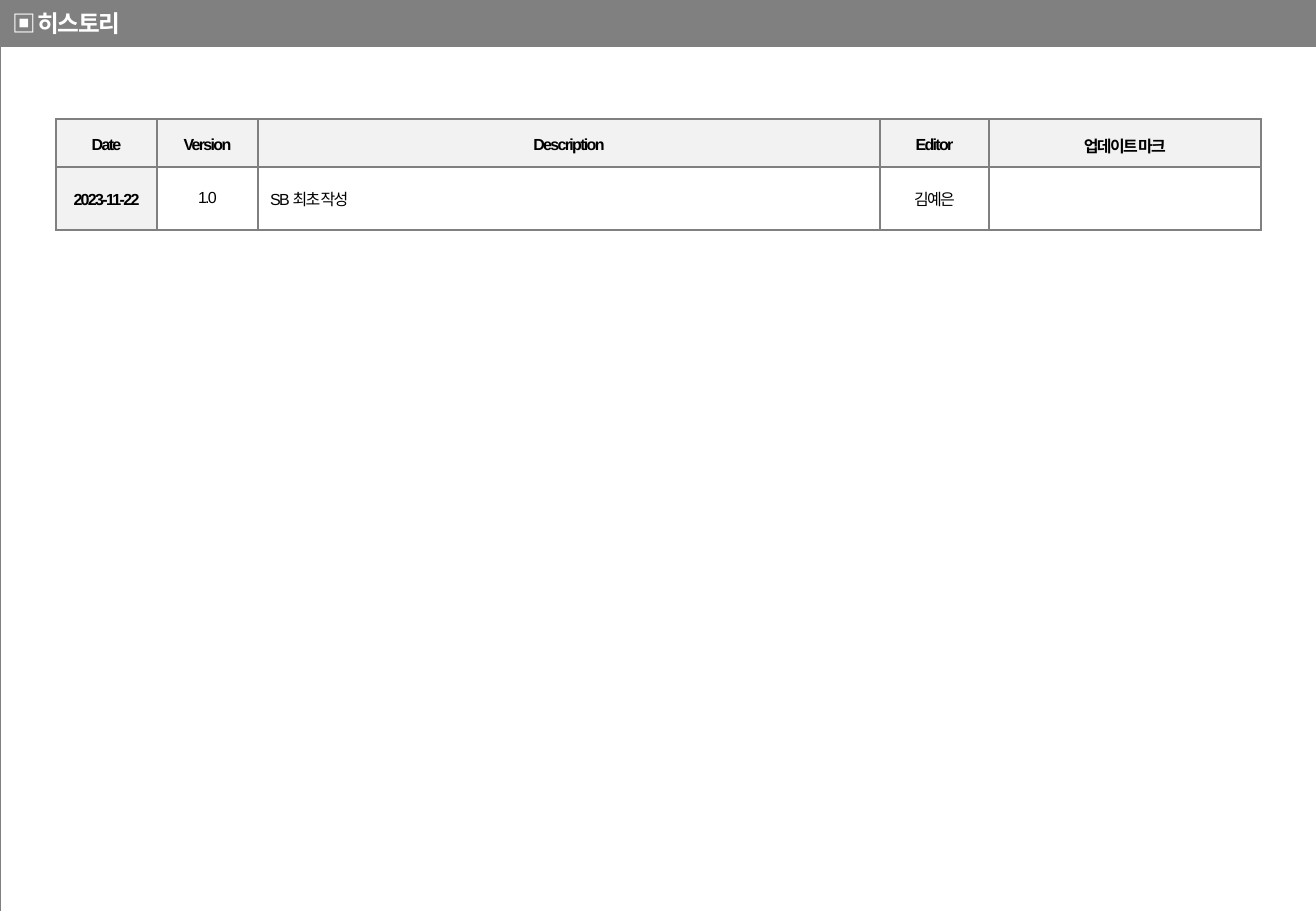
"""Build the revision history slide."""
import pptx
import pptx.util
import pptx.dml.color
import pptx.enum.text
import pptx.oxml.ns
import lxml.etree

TITLE = "▣ 히스토리"
ROWS = [
    ["Date", "Version", "Description", "Editor", "업데이트 마크"],
    ["2023-11-22", "1.0", "SB 최초 작성", "김예은", ""],
]
COLS = [101, 101, 622, 109, 272]
HIGHS = [48, 63]
WIDE, TALL, BAR = 1316, 911, 47
LEFT, TOP = 56, 119
PAD = 10
HUES = {"gray": "808080", "pale": "F2F2F2", "white": "FFFFFF", "black": "000000"}
LATIN, KOREAN = "Arial", "Noto Sans CJK KR"
ALIGN = pptx.enum.text.PP_ALIGN
MIDDLE = pptx.enum.text.MSO_ANCHOR.MIDDLE


def px(num):
    return pptx.util.Emu(num * 7526)


def hue(name):
    return pptx.dml.color.RGBColor.from_string(HUES[name])


def node(root, tag, **attrs):
    return lxml.etree.SubElement(root, pptx.oxml.ns.qn(tag), **attrs)


def write(para, text, size, face, color, bold):
    run = para.add_run()
    run.text = text
    font = run.font
    font.size = pptx.util.Pt(size)
    font.bold = bold
    font.name = face
    font.color.rgb = hue(color)
    props = run._r.get_or_add_rPr()
    props.set("spc", "-100")
    node(props, "a:ea", typeface=KOREAN)


def border(cell, points):
    props = cell._tc.get_or_add_tcPr()
    for spot, side in enumerate(("a:lnL", "a:lnR", "a:lnT", "a:lnB")):
        line = node(props, side, w=str(pptx.util.Pt(points)))
        fill = node(line, "a:solidFill")
        node(fill, "a:srgbClr", val=HUES["gray"])
        props.insert(spot, line)


def grid(slide, left, top, cols, highs, points):
    frame = slide.shapes.add_table(
        len(highs), len(cols), px(left), px(top), px(sum(cols)), px(sum(highs)))
    table = frame.table
    table.first_row = table.horz_banding = False
    for col, wide in zip(table.columns, cols):
        col.width = px(wide)
    for row, high in zip(table.rows, highs):
        row.height = px(high)
    for cell in table.iter_cells():
        cell.fill.background()
        border(cell, points)
    return table


def head(slide):
    bar = slide.shapes.title
    bar.left, bar.top, bar.width, bar.height = px(0), px(0), px(WIDE), px(BAR)
    bar.fill.solid()
    bar.fill.fore_color.rgb = hue("gray")
    frame = bar.text_frame
    frame.auto_size = pptx.enum.text.MSO_AUTO_SIZE.NONE
    frame.vertical_anchor = MIDDLE
    para = frame.paragraphs[0]
    para.alignment = ALIGN.LEFT
    write(para, TITLE, 14, KOREAN, "white", True)


def log(slide):
    table = grid(slide, LEFT, TOP, COLS, HIGHS, 1)
    for r, row in enumerate(ROWS):
        for c, text in enumerate(row):
            cell = table.cell(r, c)
            label = r == 0 or c == 0
            cell.fill.solid()
            cell.fill.fore_color.rgb = hue("pale" if label else "white")
            cell.vertical_anchor = MIDDLE
            if not label:
                cell.margin_bottom = px(PAD)
            if text:
                para = cell.text_frame.paragraphs[0]
                para.alignment = ALIGN.LEFT if (r, c) == (1, 2) else ALIGN.CENTER
                para.line_spacing = 1.2
                write(para, text, 9.5, LATIN, "black", label)


def main():
    deck = pptx.Presentation()
    deck.slide_width, deck.slide_height = px(WIDE), px(TALL)
    slide = deck.slides.add_slide(deck.slide_layouts[5])
    head(slide)
    grid(slide, 0, 0, [WIDE + 1], [TALL + 1], 0.25)
    log(slide)
    deck.save("out.pptx")


if __name__ == "__main__":
    main()
